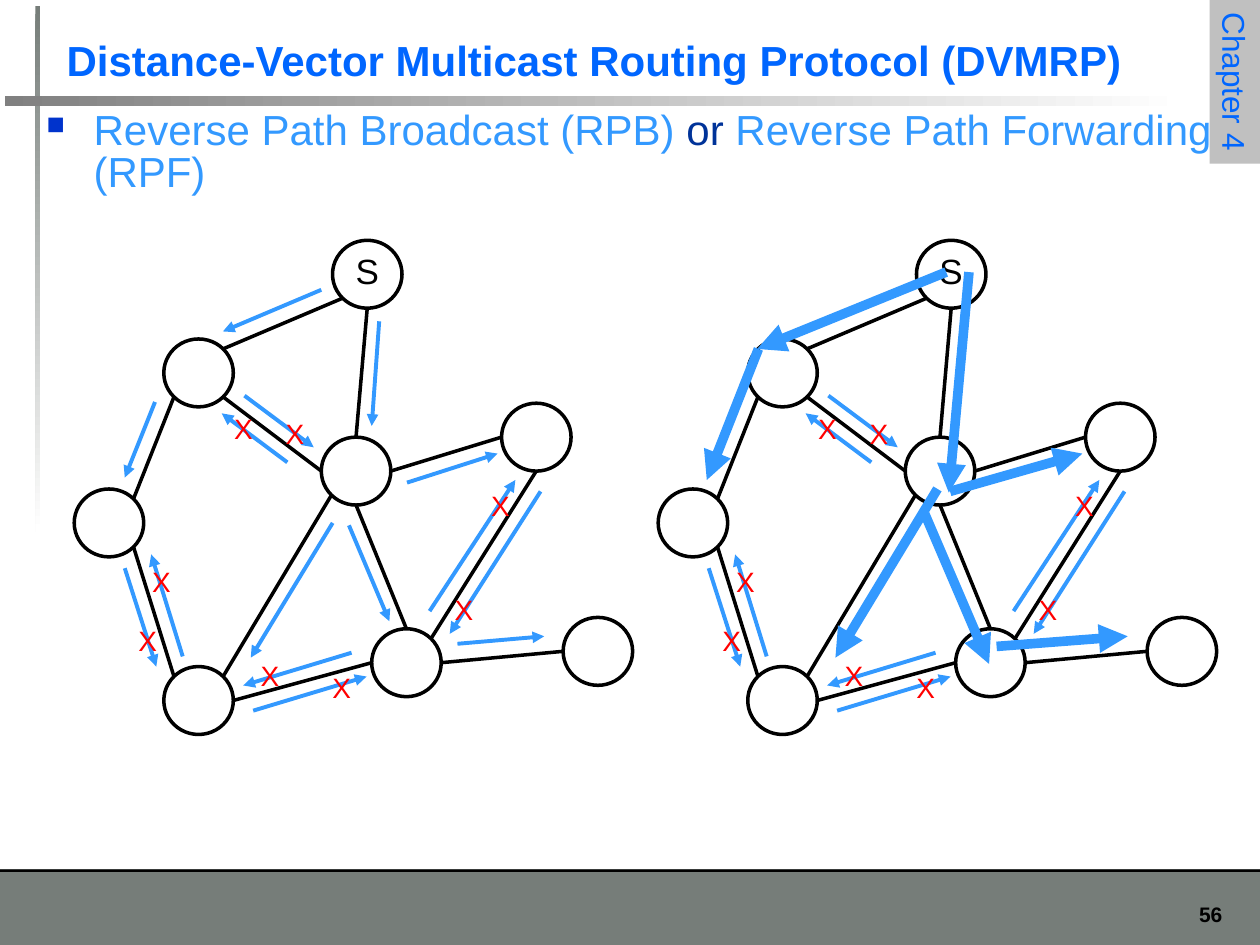
from math import cos, radians, sin

from lxml import etree
from pptx import Presentation
from pptx.dml.color import RGBColor
from pptx.enum.shapes import MSO_CONNECTOR, MSO_SHAPE
from pptx.enum.text import MSO_ANCHOR, PP_ALIGN
from pptx.oxml.ns import qn
from pptx.util import Pt

RECT, OVAL = MSO_SHAPE.RECTANGLE, MSO_SHAPE.OVAL
STRAIGHT = MSO_CONNECTOR.STRAIGHT
TOP, MIDDLE, BOTTOM = MSO_ANCHOR.TOP, MSO_ANCHOR.MIDDLE, MSO_ANCHOR.BOTTOM
LEFT, CENTER, RIGHT = PP_ALIGN.LEFT, PP_ALIGN.CENTER, PP_ALIGN.RIGHT

BLACK = RGBColor(0, 0, 0)
WHITE = RGBColor(0xFF, 0xFF, 0xFF)
FOOTER_GRAY = RGBColor(0x76, 0x7D, 0x79)
RULE_GRAY = RGBColor(0x80, 0x80, 0x80)
TAB_GRAY = RGBColor(0xC0, 0xC0, 0xC0)
TITLE_BLUE = RGBColor(0, 0x66, 0xFF)
SKY = RGBColor(0x33, 0x99, 0xFF)
NAVY = RGBColor(0, 0x33, 0x99)
BULLET_BLUE = RGBColor(0, 0x33, 0xCC)
RED = RGBColor(0xFF, 0, 0)

# Content
TITLE = "Distance-Vector Multicast Routing Protocol (DVMRP)"
BODY = [("Reverse Path Broadcast (RPB) ", SKY), ("or ", NAVY),
        ("Reverse Path Forwarding (RPF)", SKY)]
CHAPTER = "Chapter 4"
PAGE = "56"

# Routers: left, top in points
NODE_W, NODE_H = 39.7, 38.8
NODES = {"S": (190, 137.3), "A": (93.6, 193.7), "E": (286.6, 230.4),
         "B": (42.4, 279.4), "C": (183.6, 249.8), "F": (321.8, 352.8),
         "D": (93.6, 380.9), "G": (212.4, 359.3)}
# Links: router and the compass side where the link meets it, at both ends
LINKS = ["S SW A NE", "S S C N", "C W A SE", "B NE A SW", "E W C E", "C S G N",
         "B SE D NW", "E S G NE", "F W G E", "G W D E", "C SW D NE"]
COMPASS = {side: radians(45 * turn) for turn, side in
           enumerate(["E", "SE", "S", "SW", "W", "NW", "N", "NE"])}

# Packets: x and y of start, x and y of end
DROPPED = [(308.9, 280.8, 257, 362.2), (139.7, 226.1, 179.3, 255.6),
           (164.2, 264.2, 126.7, 236.2), (104.4, 375.1, 86.4, 316.8),
           (71.3, 324.7, 89.3, 380.9), (200.9, 373, 139, 391.7),
           (144.7, 406.1, 209.5, 386.6), (245.5, 349.2, 294.5, 274.3)]
FORWARDED = [(183.6, 165.6, 127.4, 189.4), (216.7, 183.6, 212.4, 243.4),
             (88.6, 229.7, 71.3, 272.9), (232.6, 275.8, 284.4, 259.2),
             (190.1, 298.8, 143.3, 375.8), (199.4, 300.2, 222.5, 355),
             (261.4, 367.9, 311, 363.6)]
TREE = [(207, 155.5, 99, 199.4), (220, 155.5, 208.5, 281.5),
        (99.7, 199.4, 70.2, 274.3), (209.2, 280.8, 284.8, 259.2),
        (202, 279.4, 143.7, 375.8), (194.8, 293.8, 231.5, 379.4),
        (235.8, 369.4, 310.7, 363.6)]
CROSSES = [(156.2, 234.7), (126.7, 231.8), (252.7, 334.8), (79.9, 319),
           (273.6, 275.8), (72, 352.8), (141.8, 373), (182.9, 379.4)]
THIN, THICK = 2.25, 5.5
# Each network: offset to the right, paths taken, their width
NETWORKS = [(0, FORWARDED, THIN), (333.7, TREE, THICK)]

prs = Presentation()
prs.slide_width, prs.slide_height = Pt(720), Pt(540)
slide = prs.slides.add_slide(prs.slide_layouts[6])
shapes = slide.shapes


def write(holder, runs, size, anchor=TOP, align=LEFT, wrap=True, bold=False):
    frame = holder.text_frame
    for name, value in {"word_wrap": wrap, "vertical_anchor": anchor}.items():
        setattr(frame, name, value)
    paragraph = frame.paragraphs[0]
    paragraph.alignment = align
    for words, color in runs:
        run = paragraph.add_run()
        run.text = words
        for name, value in {"name": "Arial", "size": Pt(size), "bold": bold}.items():
            setattr(run.font, name, value)
        run.font.color.rgb = color
    return paragraph


def add_text(box, runs, size, **layout):
    return write(shapes.add_textbox(*map(Pt, box)), runs, size, **layout)


def add_shape(kind, box, fill=None):
    shape = shapes.add_shape(kind, *map(Pt, box))
    shape.shadow.inherit = False
    if fill is None:
        shape.fill.background()
    else:
        shape.fill.solid()
        shape.fill.fore_color.rgb = fill
    shape.line.fill.background()
    return shape


def add_fading_rule(box, color, angle):
    fill = add_shape(RECT, box).fill
    fill.gradient()
    fill.gradient_angle = angle
    for stop, shade, position in zip(fill.gradient_stops, (color, WHITE), (0, 1)):
        stop.color.rgb = shade
        stop.position = position


def add_line(ends, dx, color, width, arrow=False):
    x1, y1, x2, y2 = ends
    line = shapes.add_connector(STRAIGHT, Pt(x1 + dx), Pt(y1), Pt(x2 + dx), Pt(y2))
    line.line.color.rgb = color
    line.line.width = Pt(width)
    if arrow:
        etree.SubElement(line.line._get_or_add_ln(), qn("a:tailEnd"), type="triangle")
    etree.SubElement(line._element.spPr, qn("a:effectLst"))


def rim_point(node, side):
    left, top = NODES[node]
    angle = COMPASS[side]
    return (left + NODE_W / 2 * (1 + cos(angle)), top + NODE_H / 2 * (1 + sin(angle)))


def add_network(dx, paths, path_width):
    for name, (left, top) in NODES.items():
        node = add_shape(OVAL, (left + dx, top, NODE_W, NODE_H))
        node.line.color.rgb = BLACK
        node.line.width = Pt(2)
        if name == "S":
            source = write(node, [(name, BLACK)], 20, MIDDLE, CENTER, wrap=False)
            source.line_spacing = Pt(20)
    for link in LINKS:
        start, start_side, end, end_side = link.split()
        add_line(rim_point(start, start_side) + rim_point(end, end_side), dx, BLACK, 2)
    for packets, width in ((DROPPED, THIN), (paths, path_width)):
        for ends in packets:
            add_line(ends, dx, SKY, width, arrow=True)
    for left, top in CROSSES:
        add_text((left + dx, top, 25.2, 26.6), [("X", RED)], 16, wrap=False)


# Footer and page number
add_shape(RECT, (0, 496.8, 720, 43.2), FOOTER_GRAY)
add_shape(RECT, (0, 496.8, 720, 1.5), BLACK)
add_text((660.2, 511.9, 45.4, 21.6), [(PAGE, BLACK)], 12, align=RIGHT, bold=True)

# Fading rules and chapter tab
add_fading_rule((20.2, 3.6, 2.9, 300.2), FOOTER_GRAY, 270)
add_fading_rule((2.9, 54.7, 674.6, 5.8), RULE_GRAY, 0)
tab = add_shape(RECT, (658.8, 32.4, 93.6, 28.8), TAB_GRAY)
tab.rotation = 90
write(tab, [(CHAPTER, TITLE_BLUE)], 18, wrap=False)

# Title and bulleted line
add_text((31, 15.1, 652.3, 36.7), [(TITLE, TITLE_BLUE)], 24, anchor=BOTTOM, bold=True)
body = add_text((19.4, 60.5, 688.3, 67.7), BODY, 24)
body.line_spacing = Pt(24)
bullet = body._p.get_or_add_pPr()
bullet.set("marL", str(Pt(27)))
bullet.set("indent", str(-Pt(27)))
bullet_color = etree.SubElement(bullet, qn("a:buClr"))
etree.SubElement(bullet_color, qn("a:srgbClr"), val=str(BULLET_BLUE))
etree.SubElement(bullet, qn("a:buSzPct"), val="60000")
etree.SubElement(bullet, qn("a:buChar"), char="■")

# Flooded network and the resulting tree
for network in NETWORKS:
    add_network(*network)

prs.save("out.pptx")
